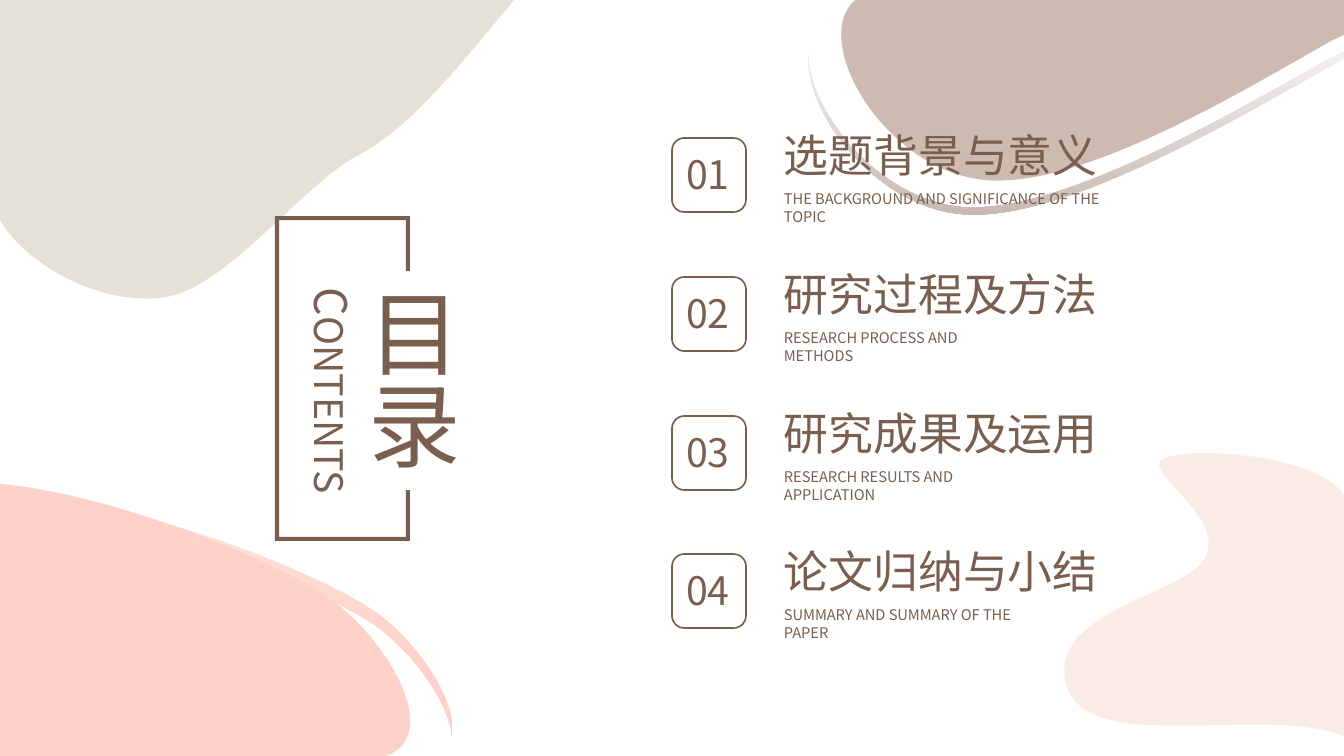
"""Build the contents slide with soft organic shapes and four numbered topics."""
from dataclasses import dataclass

import lxml.etree
import pptx
import pptx.util
import pptx.dml.color
import pptx.enum.shapes
import pptx.enum.text
import pptx.oxml.ns

PX = 12192000 / 1344


@dataclass(frozen=True)
class Theme:
    """Hold the colours, type sizes and font."""

    brown: str = "7A5E4E"
    white: str = "FFFFFF"
    sage: str = "E5E1D6"
    pink: str = "FFD1C7"
    cream: str = "F9ECE4"
    taupe: str = "CDBBB1"
    mist: str = "F3F1ED"
    clay: str = "C8BAB3"
    font: str = "Noto Sans CJK SC"
    title: float = 66
    heading: float = 32
    number: float = 28
    caption: float = 10.5
    outline: float = 1.2


THEME = Theme()
SHAPES = pptx.enum.shapes.MSO_SHAPE
ALIGN = pptx.enum.text.PP_ALIGN
SIDES = ("left", "top", "width", "height")

BLOBS = [
    ((THEME.cream, THEME.pink), 0, (59, 502), [
        [(161, 511), (314, 572), (372, 610)], [(414, 638), (457, 699), (452, 736)],
        [(451, 729)], [(443, 692), (407, 647), (372, 623)],
        [(314, 586), (161, 524), (59, 516)]]),
    ((THEME.sage,), 0, (0, 0), [
        [(514, 0)], [(453, 74), (407, 130), (357, 156)],
        [(306, 182), (226, 288), (166, 297)], [(106, 307), (28, 268), (0, 220)]]),
    ((THEME.pink,), 0, (0, 484), [
        [(106, 493), (267, 556), (326, 596)], [(385, 635), (445, 735), (386, 756)],
        [(0, 756)]]),
    ((THEME.cream,), 0, (1159, 465), [
        [(1155, 444), (1314, 449), (1344, 495)], [(1344, 736)],
        [(1261, 704), (1086, 758), (1066, 684)],
        [(1047, 610), (1190, 594), (1206, 556)],
        [(1222, 520), (1163, 485), (1159, 465)]]),
    ((THEME.taupe,), 0, (856, 0), [
        [(1344, 0)], [(1344, 35)], [(1333, 40)],
        [(1259, 81), (1084, 190), (985, 180)], [(886, 171), (810, 43), (854, 1)]]),
    ((THEME.mist, THEME.clay), 270, (1344, 51), [
        [(1344, 58)], [(1331, 66)], [(1253, 108), (1065, 224), (961, 214)],
        [(876, 206), (807, 115), (808, 57)], [(809, 54)], [(809, 64)],
        [(817, 121), (882, 199), (961, 207)], [(1065, 216), (1253, 100), (1331, 58)]]),
]

TOPICS = [
    ("选题背景与意义", "THE BACKGROUND AND SIGNIFICANCE OF THE TOPIC", 365),
    ("研究过程及方法", "RESEARCH PROCESS AND METHODS", 249),
    ("研究成果及运用", "RESEARCH RESULTS AND APPLICATION", 261),
    ("论文归纳与小结", "SUMMARY AND SUMMARY OF THE PAPER", 281),
]


def emu(*lengths):
    """Turn px lengths into EMU."""
    return [round(length * PX) for length in lengths]


def rgb(colour):
    """Return the colour object of a hex string."""
    return pptx.dml.color.RGBColor.from_string(colour)


def set_values(target, values):
    """Set each attribute of the target from a dict."""
    for name, value in values.items():
        setattr(target, name, value)


def add_element(parent, tag, **attributes):
    """Append a drawing element to a parent."""
    return lxml.etree.SubElement(parent, pptx.oxml.ns.qn(tag), attributes)


def curve_points(start, controls, steps=50):
    """Return points along a cubic curve, or the end of a straight segment."""
    if len(controls) == 1:
        return controls
    points = []
    for step in range(1, steps + 1):
        t = step / steps
        weights = ((1 - t) ** 3, 3 * t * (1 - t) ** 2, 3 * t * t * (1 - t), t ** 3)
        points.append(tuple(sum(weight * point[axis] for weight, point in zip(weights, (start, *controls)))
                            for axis in (0, 1)))
    return points


def paint(shape, colours, angle=0):
    """Fill a shape with one colour or a two-colour gradient, without a line."""
    shape.shadow.inherit = False
    shape.line.fill.background()
    if len(colours) == 1:
        shape.fill.solid()
        shape.fill.fore_color.rgb = rgb(colours[0])
        return
    shape.fill.gradient()
    shape.fill.gradient_angle = angle
    for stop, colour, position in zip(shape.fill.gradient_stops, colours, (0, 1)):
        stop.color.rgb = rgb(colour)
        stop.position = position


def add_blob(slide, colours, angle, start, segments):
    """Draw a closed outline of cubic curves and straight lines."""
    extent = [start]
    for segment in segments:
        extent.extend(curve_points(extent[-1], segment))
    left, top = (min(values) for values in zip(*extent))
    right, bottom = (max(values) for values in zip(*extent))
    builder = slide.shapes.build_freeform(*emu(*start), scale=1)
    builder.add_line_segments([emu(*segment[-1]) for segment in segments], close=True)
    shape = builder.convert_to_shape()
    box = emu(left, top, right - left, bottom - top)
    set_values(shape, dict(zip(SIDES, box)))
    outline = next(shape._element.iter(pptx.oxml.ns.qn("a:path")))
    for child in list(outline):
        outline.remove(child)
    outline.set("w", str(box[2]))
    outline.set("h", str(box[3]))
    for index, points in enumerate([[start], *segments]):
        tag = "a:moveTo" if index == 0 else "a:lnTo" if len(points) == 1 else "a:cubicBezTo"
        command = add_element(outline, tag)
        for across, down in points:
            x, y = emu(across - left, down - top)
            add_element(command, "a:pt", x=str(x), y=str(y))
    add_element(outline, "a:close")
    paint(shape, colours, angle)


def write(shape, pieces, align=ALIGN.LEFT, vertical=False, wrap=True):
    """Write sized text pieces as one paragraph in a shape."""
    frame = shape.text_frame
    set_values(frame, {"word_wrap": wrap,
                       "auto_size": pptx.enum.text.MSO_AUTO_SIZE.SHAPE_TO_FIT_TEXT})
    if vertical:
        frame._txBody.bodyPr.set("vert", "eaVert")
    paragraph = frame.paragraphs[0]
    set_values(paragraph, {"alignment": align, "line_spacing": 1.0})
    for text, size in pieces:
        run = paragraph.add_run()
        run.text = text
        set_values(run.font, {"size": pptx.util.Pt(size), "name": THEME.font})
        run.font.color.rgb = rgb(THEME.brown)
        add_element(run.font._element, "a:ea", typeface=THEME.font)


def add_text(slide, box, pieces, **options):
    """Add a text box."""
    write(slide.shapes.add_textbox(*emu(*box)), pieces, **options)


def add_title(slide):
    """Add the open frame with the vertical title and its Latin counterpart."""
    frame = slide.shapes.add_shape(SHAPES.FRAME, *emu(275, 216, 135, 325))
    frame.adjustments[0] = 0.03
    paint(frame, (THEME.brown,))
    title = slide.shapes.title
    slide.shapes._spTree.append(title._element)
    set_values(title, dict(zip(SIDES, emu(341, 271, 132, 219))))
    title.fill.solid()
    title.fill.fore_color.rgb = rgb(THEME.white)
    margin_left, margin_top = emu(19, 16)
    set_values(title.text_frame, {"vertical_anchor": pptx.enum.text.MSO_ANCHOR.MIDDLE,
                                  "margin_left": margin_left, "margin_top": margin_top})
    write(title, [("目录", THEME.title)], align=ALIGN.CENTER, vertical=True)
    add_text(slide, (289, 278, 75, 202), [("C", THEME.heading), ("ONTENTS", THEME.number)],
             align=ALIGN.CENTER, vertical=True, wrap=False)


def add_topic(slide, index, heading, caption, caption_width):
    """Add a numbered badge with its heading and caption."""
    top = 138 + round(138.8 * index)
    add_text(slide, (774, top - 15, 360, 65), [(heading, THEME.heading)])
    add_text(slide, (774, top + 47, caption_width, 28), [(caption, THEME.caption)])
    badge = slide.shapes.add_shape(SHAPES.ROUNDED_RECTANGLE, *emu(672, top, 74, 74))
    badge.shadow.inherit = False
    badge.fill.background()
    badge.line.color.rgb = rgb(THEME.brown)
    badge.line.width = pptx.util.Pt(THEME.outline)
    add_text(slide, (672, top + 7, 72, 57), [(f"{index + 1:02}", THEME.number)], align=ALIGN.CENTER)


def main():
    """Build and save the presentation."""
    presentation = pptx.Presentation()
    set_values(presentation, dict(zip(("slide_width", "slide_height"), emu(1344, 756))))
    slide = presentation.slides.add_slide(presentation.slide_layouts[5])
    for blob in BLOBS:
        add_blob(slide, *blob)
    add_title(slide)
    for index, topic in enumerate(TOPICS):
        add_topic(slide, index, *topic)
    presentation.save("out.pptx")


if __name__ == "__main__":
    main()
